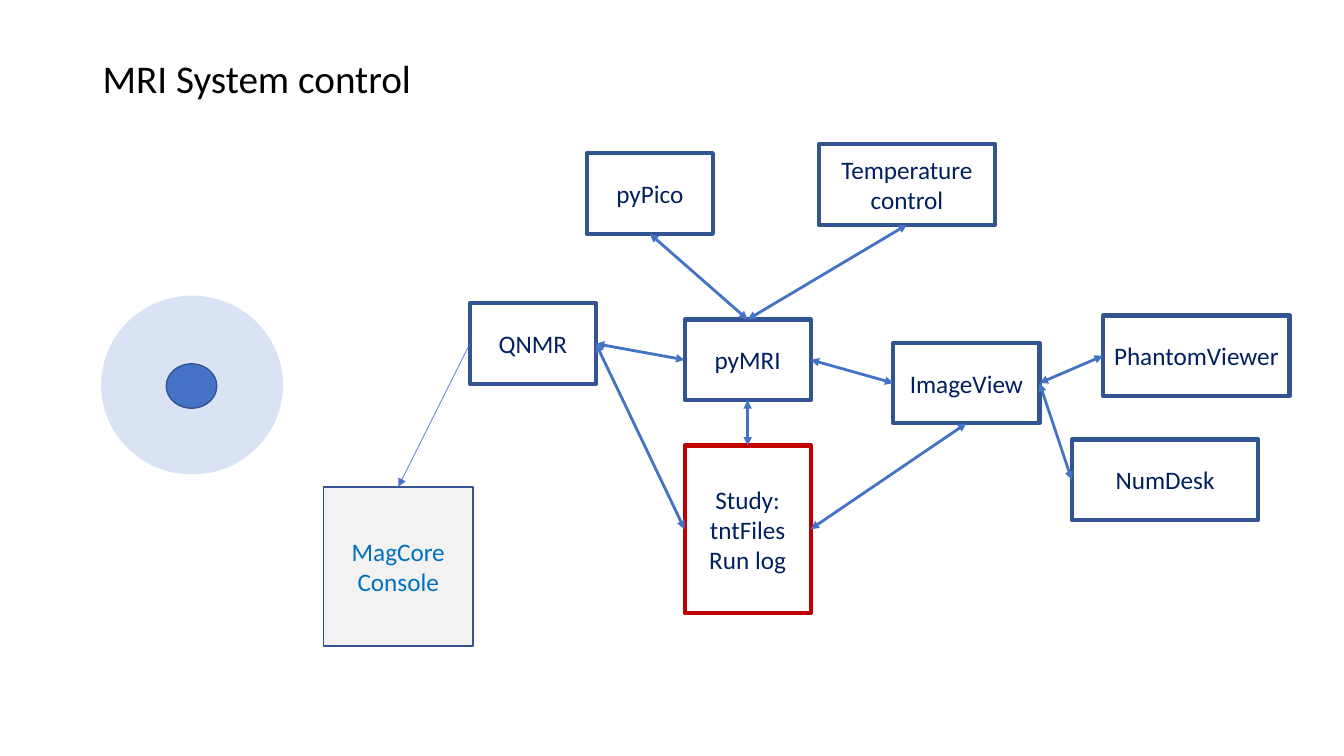
from lxml.etree import SubElement
from pptx import Presentation
from pptx.dml.color import RGBColor
from pptx.enum.shapes import MSO_CONNECTOR as Connector, MSO_SHAPE as Preset
from pptx.enum.text import MSO_ANCHOR as Anchor, PP_ALIGN as Align
from pptx.oxml.ns import qn
from pptx.util import Inches, Pt

NAVY = "002060"
BORDER = "325491"
ACCENT = "4472C4"
TOP, LEFT, BOTTOM, RIGHT = range(4)


def paint(color_format, hex_color):
    color_format.rgb = RGBColor.from_string(hex_color)


def write(frame, lines, size, color, align):
    frame.word_wrap = True
    frame.vertical_anchor = Anchor.MIDDLE
    for index, line in enumerate(lines):
        paragraph = frame.add_paragraph() if index else frame.paragraphs[0]
        paragraph.alignment = align
        run = paragraph.add_run()
        run.text = line
        run.font.name = "Calibri"
        run.font.size = Pt(size)
        paint(run.font.color, color)


def add_title(slide, text):
    title = slide.shapes.add_textbox(Inches(0.92), Inches(0.4), Inches(11.5), Inches(0.8))
    write(title.text_frame, [text], 28, "000000", Align.LEFT)
    title.text_frame.paragraphs[0].line_spacing = 0.9


def add_outline(slide, preset, place, fill, border, weight):
    outline = slide.shapes.add_shape(preset, *map(Inches, place))
    outline.shadow.inherit = False
    if fill:
        outline.fill.solid()
        paint(outline.fill.fore_color, fill)
    else:
        outline.fill.background()
    paint(outline.line.color, border)
    outline.line.width = Pt(weight)
    return outline


def add_box(slide, lines, left, top, width=1.25, height=0.8,
            fill=None, border=BORDER, weight=3, color=NAVY):
    box = add_outline(slide, Preset.RECTANGLE, (left, top, width, height), fill, border, weight)
    write(box.text_frame, lines, 18, color, Align.CENTER)
    return box


def add_arrow(slide, start, start_side, end, end_side, weight=2, ends=("headEnd", "tailEnd")):
    arrow = slide.shapes.add_connector(Connector.STRAIGHT, 0, 0, 0, 0)
    arrow.begin_connect(start, start_side)
    arrow.end_connect(end, end_side)
    paint(arrow.line.color, ACCENT)
    arrow.line.width = Pt(weight)
    properties = arrow.element.spPr
    for end_tag in ends:
        SubElement(properties.find(qn("a:ln")), qn(f"a:{end_tag}"), type="triangle")
    SubElement(properties, qn("a:effectLst"))


def main():
    deck = Presentation()
    deck.slide_width, deck.slide_height = Inches(13.33), Inches(7.5)
    slide = deck.slides.add_slide(deck.slide_layouts[6])
    add_title(slide, "MRI System control")

    image_view = add_box(slide, ["ImageView"], 8.86, 3.4, 1.45)
    spectrometer = add_box(slide, ["QNMR"], 4.66, 3.01)
    py_mri = add_box(slide, ["pyMRI"], 6.79, 3.17)
    py_pico = add_box(slide, ["pyPico"], 5.82, 1.52)
    temperature = add_box(slide, ["Temperature control"], 8.12, 1.43, 1.75)
    study = add_box(slide, ["Study:", "tntFiles", "Run log"], 6.79, 4.42,
                    height=1.66, border="C00000")
    phantom_viewer = add_box(slide, ["PhantomViewer"], 10.94, 3.13, 1.85)
    analysis = add_box(slide, ["NumDesk"], 10.63, 4.36, 1.85)
    console = add_box(slide, ["MagCore Console"], 3.21, 4.83, 1.48, 1.58,
                      fill="F2F2F2", weight=1, color="0070C0")

    for link in (
        (spectrometer, RIGHT, py_mri, LEFT),
        (spectrometer, RIGHT, study, LEFT),
        (study, TOP, py_mri, BOTTOM),
        (py_mri, RIGHT, image_view, LEFT),
        (study, RIGHT, image_view, BOTTOM),
        (py_pico, BOTTOM, py_mri, TOP),
        (temperature, BOTTOM, py_mri, TOP),
        (image_view, RIGHT, phantom_viewer, LEFT),
        (image_view, RIGHT, analysis, LEFT),
    ):
        add_arrow(slide, *link)

    add_outline(slide, Preset.OVAL, (1.01, 2.94, 1.79, 1.76), "DAE3F3", "DAE3F3", 1)
    add_outline(slide, Preset.OVAL, (1.65, 3.61, 0.5, 0.44), ACCENT, BORDER, 1)
    add_arrow(slide, spectrometer, LEFT, console, TOP, 0.5, ["tailEnd"])

    deck.save("out.pptx")


if __name__ == "__main__":
    main()
